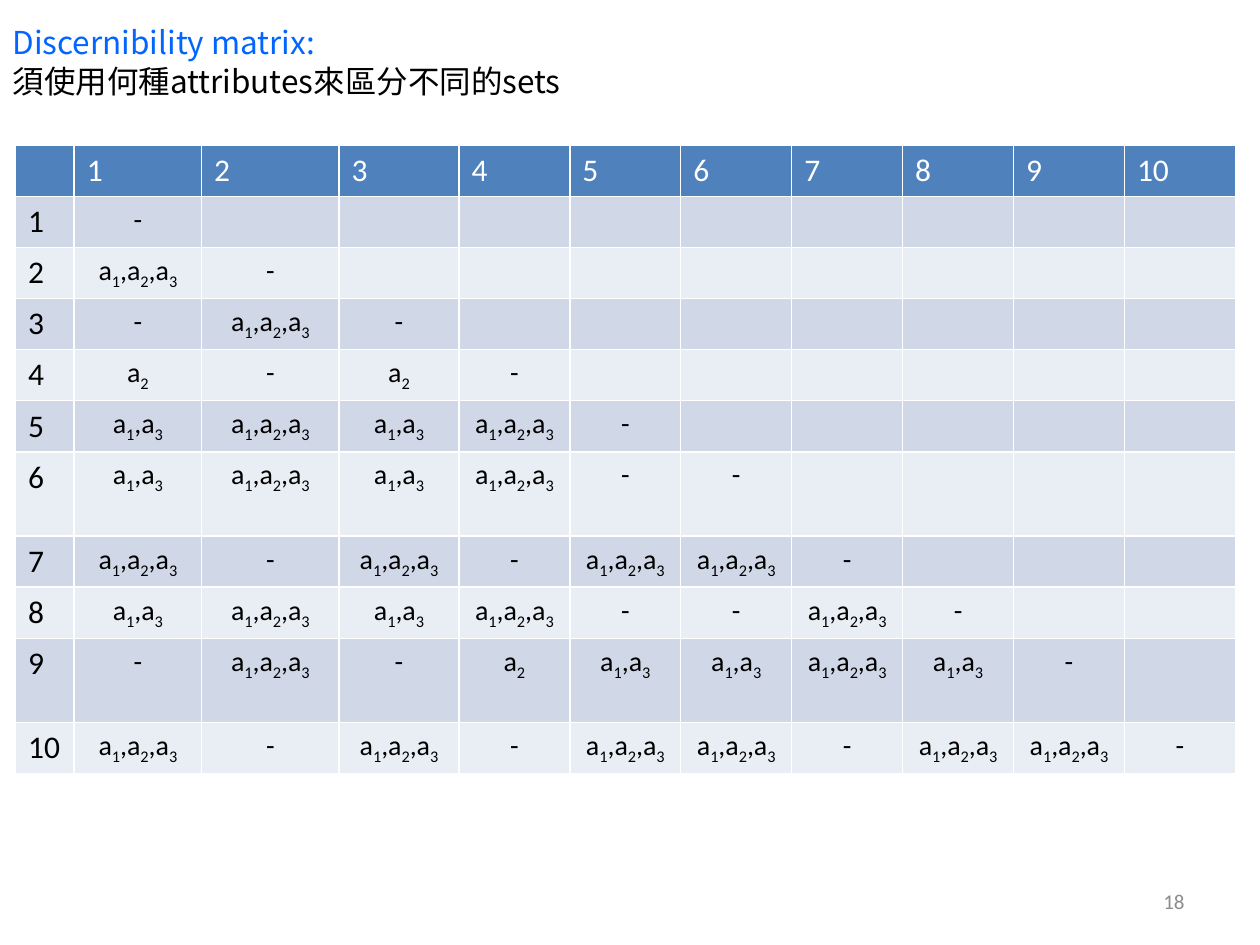
import pptx
import pptx.dml.color
import pptx.enum.text
import pptx.oxml
import pptx.oxml.ns
import pptx.util

Pt = pptx.util.Pt
RGBColor = pptx.dml.color.RGBColor
Align = pptx.enum.text.PP_ALIGN
Anchor = pptx.enum.text.MSO_ANCHOR

BLUE = RGBColor(0x00, 0x66, 0xFF)
BLACK = RGBColor(0x00, 0x00, 0x00)
WHITE = RGBColor(0xFF, 0xFF, 0xFF)
GREY = RGBColor(0x8C, 0x8C, 0x8C)
HEADER_FILL = RGBColor(0x4F, 0x81, 0xBD)
BAND_FILLS = (RGBColor(0xD0, 0xD8, 0xE8), RGBColor(0xE9, 0xED, 0xF4))

TITLE_LINES = [
    ("Discernibility matrix:", BLUE),
    ("須使用何種attributes來區分不同的sets", BLACK),
]

# Lower triangle: each entry gives the indices of the attributes, "-" means none.
MATRIX = [
    "-",
    "123 -",
    "- 123 -",
    "2 - 2 -",
    "13 123 13 123 -",
    "13 123 13 123 - -",
    "123 - 123 - 123 123 -",
    "13 123 13 123 - - 123 -",
    "- 123 - 2 13 13 123 13 -",
    "123 - 123 - 123 123 - 123 123 -",
]
COLUMN_WIDTHS = [33.5, 72.8, 78.6, 68.5] + [63.4] * 7
ROW_HEIGHT, TALL_ROW_HEIGHT = 29.2, 48.2
TALL_ROWS = (6, 9)


class SlideBuilder:
    font_name = "Calibri"
    title_font = "Noto Sans CJK SC"
    text_size = 18
    entry_size = 16

    def __init__(self, slide):
        self.slide = slide

    def format_run(self, run, size, color, name=font_name):
        run.font.size = Pt(size)
        run.font.name = name
        run.font.color.rgb = color

    def title(self, left, top, width, height, lines):
        shape = self.slide.shapes.title
        shape.left, shape.top = Pt(left), Pt(top)
        shape.width, shape.height = Pt(width), Pt(height)
        frame = shape.text_frame
        frame.word_wrap = True
        frame.auto_size = pptx.enum.text.MSO_AUTO_SIZE.NONE
        frame.vertical_anchor = Anchor.TOP
        frame.text = "\n".join(text for text, _ in lines)
        for paragraph, (_, color) in zip(frame.paragraphs, lines):
            paragraph.alignment = Align.LEFT
            paragraph.line_spacing = Pt(21.9)
            run = paragraph.runs[0]
            self.format_run(run, self.text_size, color, self.title_font)
            east_asian = pptx.oxml.parse_xml(
                f'<a:ea {pptx.oxml.ns.nsdecls("a")} typeface="{self.title_font}"/>')
            run.font._element.append(east_asian)

    def text(self, left, top, width, height, text, size, color):
        """Add a right-aligned, vertically centred line of text."""
        shape = self.slide.shapes.add_textbox(Pt(left), Pt(top), Pt(width), Pt(height))
        frame = shape.text_frame
        frame.word_wrap = True
        frame.vertical_anchor = Anchor.MIDDLE
        frame.text = text
        frame.paragraphs[0].alignment = Align.RIGHT
        self.format_run(frame.paragraphs[0].runs[0], size, color)

    def matrix_table(self, left, top, matrix):
        count = len(matrix) + 1
        heights = [TALL_ROW_HEIGHT if row in TALL_ROWS else ROW_HEIGHT
                   for row in range(count)]
        table = self.slide.shapes.add_table(
            count, count, Pt(left), Pt(top),
            Pt(sum(COLUMN_WIDTHS)), Pt(sum(heights))).table
        for column, width in zip(table.columns, COLUMN_WIDTHS):
            column.width = Pt(width)
        for row, height in zip(table.rows, heights):
            row.height = Pt(height)

        for row in range(count):
            fill = BAND_FILLS[(row - 1) % 2] if row else HEADER_FILL
            for column in range(count):
                cell = table.cell(row, column)
                self.borders(cell)
                cell.fill.solid()
                cell.fill.fore_color.rgb = fill
        for number, line in enumerate(matrix, start=1):
            self.label(table.cell(0, number), number, WHITE)
            self.label(table.cell(number, 0), number, BLACK)
            for column, entry in enumerate(line.split(), start=1):
                self.entry(table.cell(number, column), entry)

    def label(self, cell, number, color):
        cell.text_frame.text = str(number)
        run = cell.text_frame.paragraphs[0].runs[0]
        self.format_run(run, self.text_size, color)
        run.font.bold = False

    def entry(self, cell, indices):
        """Write a dash, or the attributes with subscript indices."""
        paragraph = cell.text_frame.paragraphs[0]
        paragraph.alignment = Align.CENTER
        if indices == "-":
            pieces = [("-", False)]
        else:
            pieces = []
            for index in indices:
                pieces += [(",a" if pieces else "a", False), (index, True)]
        for text, subscript in pieces:
            run = paragraph.add_run()
            run.text = text
            self.format_run(run, self.entry_size, BLACK)
            if subscript:
                run.font._element.set("baseline", "-25000")

    def borders(self, cell):
        properties = cell._tc.get_or_add_tcPr()
        for side in ("lnL", "lnR", "lnT", "lnB"):
            properties.append(pptx.oxml.parse_xml(
                f'<a:{side} {pptx.oxml.ns.nsdecls("a")} w="{Pt(1)}">'
                f'<a:solidFill><a:srgbClr val="{WHITE}"/></a:solidFill></a:{side}>'))


def main():
    presentation = pptx.Presentation()
    presentation.slide_width, presentation.slide_height = Pt(720), Pt(540)
    title_only = presentation.slide_layouts[5]
    builder = SlideBuilder(presentation.slides.add_slide(title_only))
    builder.title(0, 9.4, 354, 51, TITLE_LINES)
    builder.matrix_table(8.9, 83, MATRIX)
    builder.text(516, 500.5, 168, 28.8, "18", 12, GREY)
    presentation.save("out.pptx")


if __name__ == "__main__":
    main()
